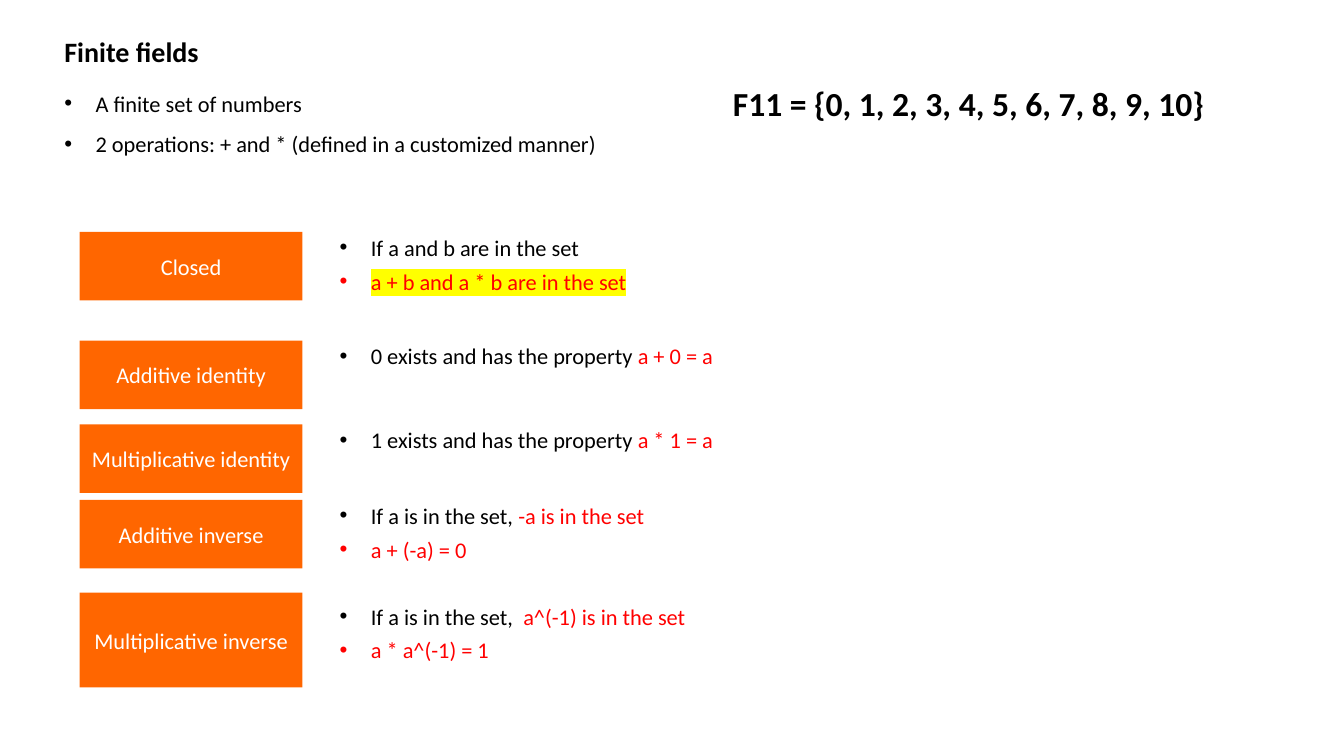
from lxml.etree import SubElement
from pptx import Presentation
from pptx.dml.color import RGBColor
from pptx.enum.shapes import MSO_SHAPE
from pptx.enum.text import MSO_ANCHOR, MSO_AUTO_SIZE, PP_ALIGN
from pptx.oxml.ns import qn
from pptx.util import Inches, Pt

COLORS = {
    "text": "000000",
    "accent": "FF0000",
    "highlight": "FFFF00",
    "box": "FF6600",
    "label": "FFFFFF",
}
FONT = "Calibri"
INDENT = Inches(0.31)

PROPERTIES = [
    ("Closed", 2.3, 0.68, 2.27, 3.91, [
        [("If a and b are in the set", "text")],
        [("a + b and a * b are in the set", "accent", "highlight")],
    ]),
    ("Additive identity", 3.38, 0.68, 3.35, 4.39, [
        [("0 exists and has the property ", "text"), ("a + 0 = a", "accent")],
    ]),
    ("Multiplicative identity", 4.21, 0.68, 4.18, 4.39, [
        [("1 exists and has the property ", "text"), ("a * 1 = a", "accent")],
    ]),
    ("Additive inverse", 4.96, 0.68, 4.93, 4.39, [
        [("If a is in the set, ", "text"), ("-a is in the set", "accent")],
        [("a + (-a) = 0", "accent")],
    ]),
    ("Multiplicative inverse", 5.88, 0.94, 5.93, 3.91, [
        [("If a is in the set,  ", "text"), ("a^(-1) is in the set", "accent")],
        [("a * a^(-1) = 1", "accent")],
    ]),
]


def color(name):
    return RGBColor.from_string(COLORS[name])


def set_font(paragraph, size, bold=False):
    paragraph.font.name = FONT
    paragraph.font.size = Pt(size)
    paragraph.font.bold = bold


def add_bullet(paragraph):
    properties = paragraph._p.get_or_add_pPr()
    properties.set("marL", str(INDENT))
    properties.set("indent", str(-INDENT))
    SubElement(properties, qn("a:buFont"), typeface="Arial")
    SubElement(properties, qn("a:buChar"), char="•")


def add_run(paragraph, text, color_name, highlight=None):
    run = paragraph.add_run()
    run.text = text
    run.font.color.rgb = color(color_name)
    if highlight:
        mark = SubElement(run.font._element, qn("a:highlight"))
        SubElement(mark, qn("a:srgbClr"), val=COLORS[highlight])


def add_text(slide, left, top, width, height, lines, size=16, bold=False,
             space_after=0, bulleted=False):
    box = slide.shapes.add_textbox(
        Inches(left), Inches(top), Inches(width), Inches(height))
    frame = box.text_frame
    frame.word_wrap = True
    frame.auto_size = MSO_AUTO_SIZE.SHAPE_TO_FIT_TEXT
    for index, runs in enumerate(lines):
        paragraph = frame.add_paragraph() if index else frame.paragraphs[0]
        if bulleted:
            add_bullet(paragraph)
        paragraph.space_after = Pt(space_after)
        set_font(paragraph, size, bold)
        for run in runs:
            add_run(paragraph, *run)


def add_label(slide, text, top, height):
    shape = slide.shapes.add_shape(
        MSO_SHAPE.RECTANGLE, Inches(0.79), Inches(top), Inches(2.21), Inches(height))
    shape.shadow.inherit = False
    shape.fill.solid()
    shape.fill.fore_color.rgb = color("box")
    shape.line.fill.background()
    frame = shape.text_frame
    frame.word_wrap = True
    frame.vertical_anchor = MSO_ANCHOR.MIDDLE
    paragraph = frame.paragraphs[0]
    paragraph.alignment = PP_ALIGN.CENTER
    set_font(paragraph, 16)
    add_run(paragraph, text, "label")


def main():
    presentation = Presentation()
    presentation.slide_width = Inches(13.33)
    presentation.slide_height = Inches(7.5)
    slide = presentation.slides.add_slide(presentation.slide_layouts[6])

    add_text(slide, 0.54, 0.29, 11.18, 0.44,
             [[("Finite fields", "text")]], size=20, bold=True)
    add_text(slide, 0.54, 0.84, 8.19, 0.78, [
        [("A finite set of numbers", "text")],
        [("2 operations: + and * (defined in a customized manner)", "text")],
    ], space_after=10, bulleted=True)

    for label, label_top, label_height, text_top, text_width, lines in PROPERTIES:
        add_label(slide, label, label_top, label_height)
        text_height = 0.37 if len(lines) == 1 else 0.71
        add_text(slide, 3.27, text_top, text_width, text_height, lines,
                 space_after=5, bulleted=True)

    add_text(slide, 7.17, 0.77, 5.35, 0.5,
             [[("F11 = {0, 1, 2, 3, 4, 5, 6, 7, 8, 9, 10}", "text")]],
             size=24, bold=True, space_after=10)
    presentation.save("out.pptx")


if __name__ == "__main__":
    main()
